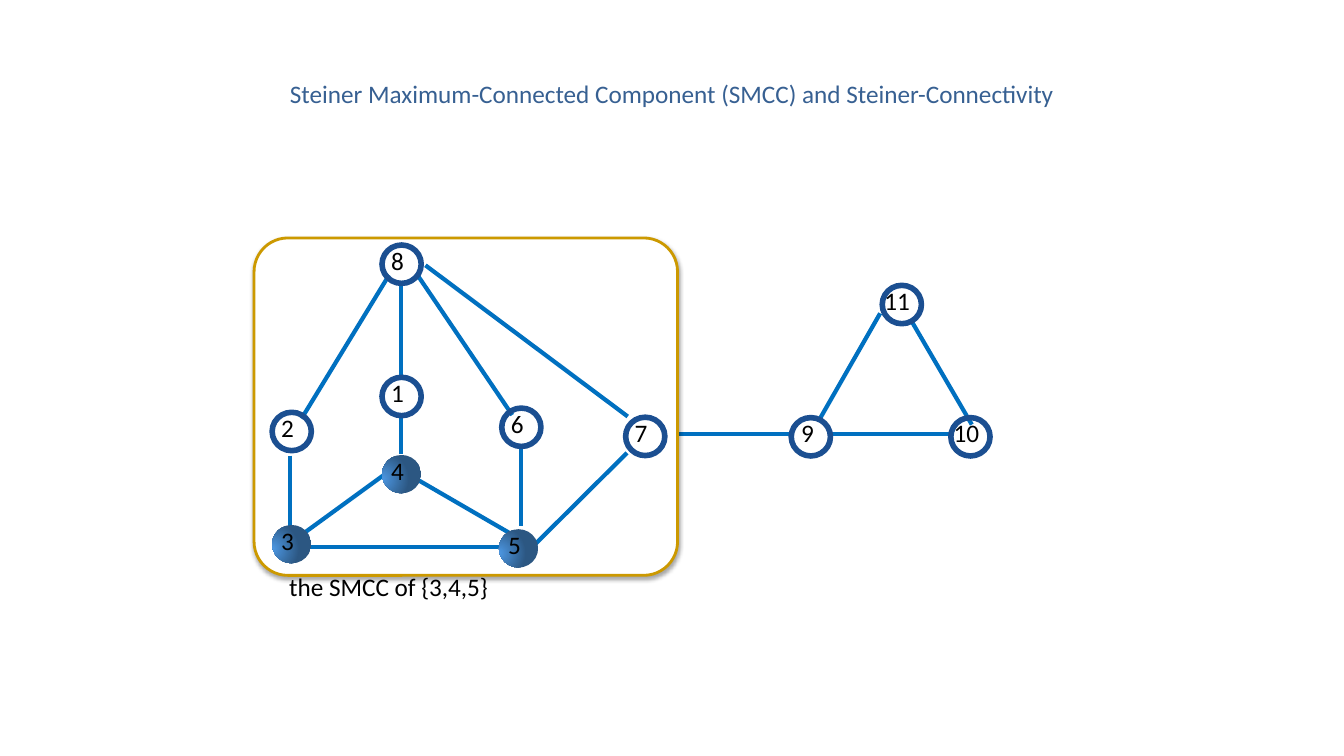
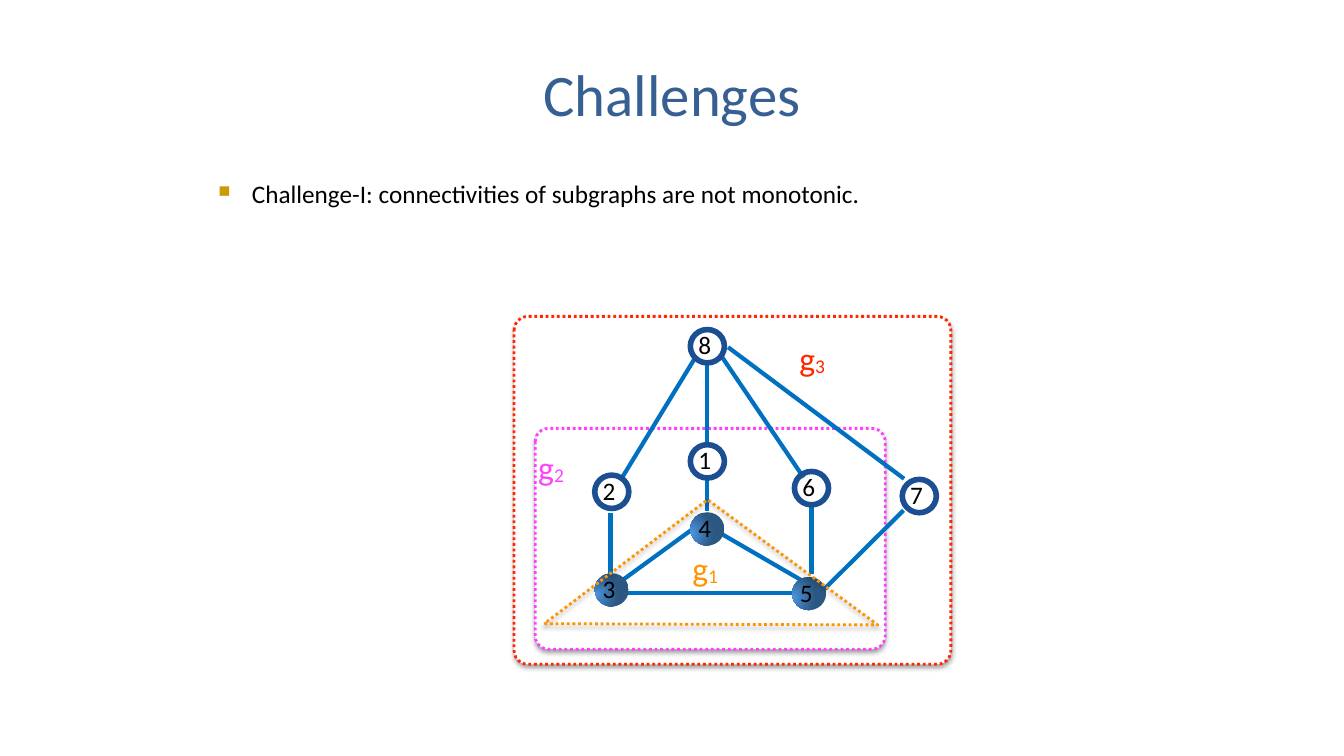
from dataclasses import dataclass

from pptx import Presentation
from pptx import util as u
from pptx.dml.color import RGBColor
from pptx.enum import dml, shapes, text
from pptx.oxml import parse_xml
from pptx.oxml.ns import nsdecls

Pt = u.Pt


@dataclass(frozen=True)
class Theme:
    font: str = "Calibri"
    title: str = "376092"
    ink: str = "000000"
    paper: str = "FFFFFF"
    edge: str = "0070C0"
    ring: str = "1B4F91"
    query_light: str = "4D98E3"
    query_dark: str = "2C5782"
    gold: str = "CC9900"
    red: str = "FF2600"
    pink: str = "FF40FF"
    orange: str = "FF9300"
    title_size: int = 42
    group_size: int = 24
    body_size: int = 18
    edge_width: int = 3
    ring_width: int = 4
    frame_width: int = 2


THEME = Theme()
NODE_W, NODE_H = 28, 27.4

# Nodes: top-left corner and label indent; edges: start and end points
MAIN_NODES = {
    "3": (0, 200, 6.5), "5": (162, 203, 6.5), "4": (78.5, 150, 6.5),
    "2": (0, 119.5, 6.5), "1": (78.5, 94.5, 6.5), "6": (164, 116.5, 6.5),
    "8": (78.5, 0, 6.5), "7": (252.5, 123, 6.5),
}
MAIN_EDGES = [
    (13, 150.5, 13, 222.5), (104.5, 22.5, 171.5, 121.5), (25, 216, 165, 216),
    (92, 27.5, 92, 94.5), (92, 149, 92, 122.5), (173.5, 208, 104.5, 168),
    (85, 160.5, 13.5, 212.5), (21, 124, 83.5, 21.5), (175.5, 226, 253.5, 148.5),
    (109.5, 14.5, 254, 122.5), (178, 146, 178, 201),
]
SIDE_NODES = {"11": (65, 0, 1.5), "9": (0, 94.5, 7), "10": (114, 94.5, 2)}
SIDE_EDGES = [(63.5, 20, 19.5, 97), (85, 24, 129, 99.5), (113, 106, 26.5, 106)]
QUERY = {"3", "4", "5"}


def write(paragraph, words, size=THEME.body_size, color=THEME.ink, baseline=0):
    """Add one formatted run; baseline is a percentage shift."""
    run = paragraph.add_run()
    run.text = words
    run.font.name = THEME.font
    run.font.size = Pt(size)
    run.font.color.rgb = RGBColor.from_string(color)
    if baseline:
        run.font._element.set("baseline", str(baseline * 1000))


class Deck:
    def __init__(self, theme):
        self.theme = theme
        self.file = Presentation()
        self.file.slide_width, self.file.slide_height = Pt(960), Pt(540)
        self.slide = None

    def new_slide(self, title, size):
        self.slide = self.file.slides.add_slide(self.file.slide_layouts[6])
        heading = self.paragraph(48, 21.6, 864, 90, anchor=text.MSO_ANCHOR.MIDDLE)
        heading.alignment = text.PP_ALIGN.CENTER
        write(heading, title, size=size, color=self.theme.title)

    def paragraph(self, x, y, w, h, wrap=True, anchor=text.MSO_ANCHOR.TOP):
        frame = self.slide.shapes.add_textbox(Pt(x), Pt(y), Pt(w), Pt(h)).text_frame
        frame.word_wrap = wrap
        frame.vertical_anchor = anchor
        frame.margin_left = frame.margin_right = Pt(0)
        frame.margin_top = frame.margin_bottom = Pt(0)
        return frame.paragraphs[0]

    def bullet(self, x, y, w, h, words):
        item = self.paragraph(x, y, w, h)
        props = item._p.get_or_add_pPr()
        props.set("marL", str(Pt(24)))
        props.set("indent", str(-Pt(24)))
        for xml in (
            f'<a:buClr {nsdecls("a")}><a:srgbClr val="{self.theme.gold}"/></a:buClr>',
            f'<a:buSzPct {nsdecls("a")} val="65000"/>',
            f'<a:buChar {nsdecls("a")} char="■"/>',
        ):
            props.append(parse_xml(xml))
        write(item, words)

    def outline(self, shape, color, width, dotted=False):
        shape.line.color.rgb = RGBColor.from_string(color)
        shape.line.width = Pt(width)
        if dotted:
            shape.line.dash_style = dml.MSO_LINE.ROUND_DOT

    def cast_shadow(self, shape):
        shape.shadow.inherit = False
        shape.element.spPr.find("{*}effectLst").append(parse_xml(
            f'<a:outerShdw {nsdecls("a")} blurRad="{Pt(3)}" dist="{Pt(1.8)}" '
            'dir="5400000" rotWithShape="0"><a:srgbClr val="000000">'
            '<a:alpha val="35000"/></a:srgbClr></a:outerShdw>'))

    def frame(self, x, y, w, h, color, corner, dotted=False):
        box = self.slide.shapes.add_shape(
            shapes.MSO_SHAPE.ROUNDED_RECTANGLE, Pt(x), Pt(y), Pt(w), Pt(h))
        box.adjustments[0] = corner
        box.fill.solid()
        box.fill.fore_color.rgb = RGBColor.from_string(self.theme.paper)
        self.outline(box, color, self.theme.frame_width, dotted)
        self.cast_shadow(box)

    def polygon(self, corners, color):
        points = [(Pt(x), Pt(y)) for x, y in corners]
        builder = self.slide.shapes.build_freeform(*points[0])
        builder.add_line_segments(points[1:], close=True)
        outline = builder.convert_to_shape()
        outline.fill.background()
        self.outline(outline, color, self.theme.frame_width, dotted=True)
        self.cast_shadow(outline)

    def edge(self, x1, y1, x2, y2):
        link = self.slide.shapes.add_connector(
            shapes.MSO_CONNECTOR.STRAIGHT, Pt(x1), Pt(y1), Pt(x2), Pt(y2))
        self.outline(link, self.theme.edge, self.theme.edge_width)
        link.element.spPr.append(parse_xml(f'<a:effectLst {nsdecls("a")}/>'))

    def node(self, x, y, w, h, label, indent):
        disc = self.slide.shapes.add_shape(
            shapes.MSO_SHAPE.OVAL, Pt(x), Pt(y), Pt(w), Pt(h))
        disc.shadow.inherit = False
        disc.fill.background()
        if label in QUERY:
            disc.line.fill.background()
            self.shade(disc)
        else:
            self.outline(disc, self.theme.ring, self.theme.ring_width)
        write(self.paragraph(x + indent, y, w, h), label)

    def shade(self, disc):
        props = disc.element.spPr
        props.replace(props.find("{*}noFill"), parse_xml(
            f'<a:gradFill {nsdecls("a")} rotWithShape="1"><a:gsLst>'
            f'<a:gs pos="0"><a:srgbClr val="{self.theme.query_light}"/></a:gs>'
            f'<a:gs pos="100000"><a:srgbClr val="{self.theme.query_dark}"/></a:gs>'
            '</a:gsLst><a:path path="circle"><a:fillToRect l="-20000" t="62000" '
            'r="120000" b="38000"/></a:path></a:gradFill>'))

    def graph(self, left, top, nodes, edges, scale=1.0):
        for x1, y1, x2, y2 in edges:
            self.edge(left + x1 * scale, top + y1 * scale,
                      left + x2 * scale, top + y2 * scale)
        for label, (x, y, indent) in nodes.items():
            self.node(left + x * scale, top + y * scale,
                      NODE_W * scale, NODE_H * scale, label, indent * scale)

    def group_label(self, x, y, index, color):
        label = self.paragraph(x, y, 19.5, 29, wrap=False)
        write(label, "g", size=self.theme.group_size, color=color)
        write(label, index, size=self.theme.group_size, color=color, baseline=-6)


def main():
    deck = Deck(THEME)

    # Steiner component
    deck.new_slide("Steiner Maximum-Connected Component (SMCC) and Steiner-Connectivity",
                   THEME.body_size)
    deck.edge(479, 310.3, 564, 310.3)
    deck.frame(181.5, 170, 302.5, 241, THEME.gold, 0.1)
    deck.graph(194.4, 175, MAIN_NODES, MAIN_EDGES)
    deck.graph(565.2, 203.8, SIDE_NODES, SIDE_EDGES)
    write(deck.paragraph(206.6, 408.2, 247, 21.6), "the SMCC of {3,4,5}")

    # Challenges: nested subgraphs
    deck.new_slide("Challenges", THEME.title_size)
    deck.bullet(156, 127.4, 648, 62.6,
                "Challenge-I: connectivities of subgraphs are not monotonic.")
    deck.frame(367.2, 226, 312, 248.5, THEME.red, 0.04, dotted=True)
    deck.frame(382.3, 306, 250, 157.7, THEME.pink, 0.06, dotted=True)
    deck.graph(424.8, 235.4, MAIN_NODES, MAIN_EDGES, scale=0.87)
    deck.polygon([(388.8, 445.5), (627, 446.4), (505.4, 357)], THEME.orange)
    deck.group_label(494.6, 391, "1", THEME.orange)
    deck.group_label(384.5, 319, "2", THEME.pink)
    deck.group_label(571, 241.2, "3", THEME.red)

    deck.file.save("out.pptx")


if __name__ == "__main__":
    main()
